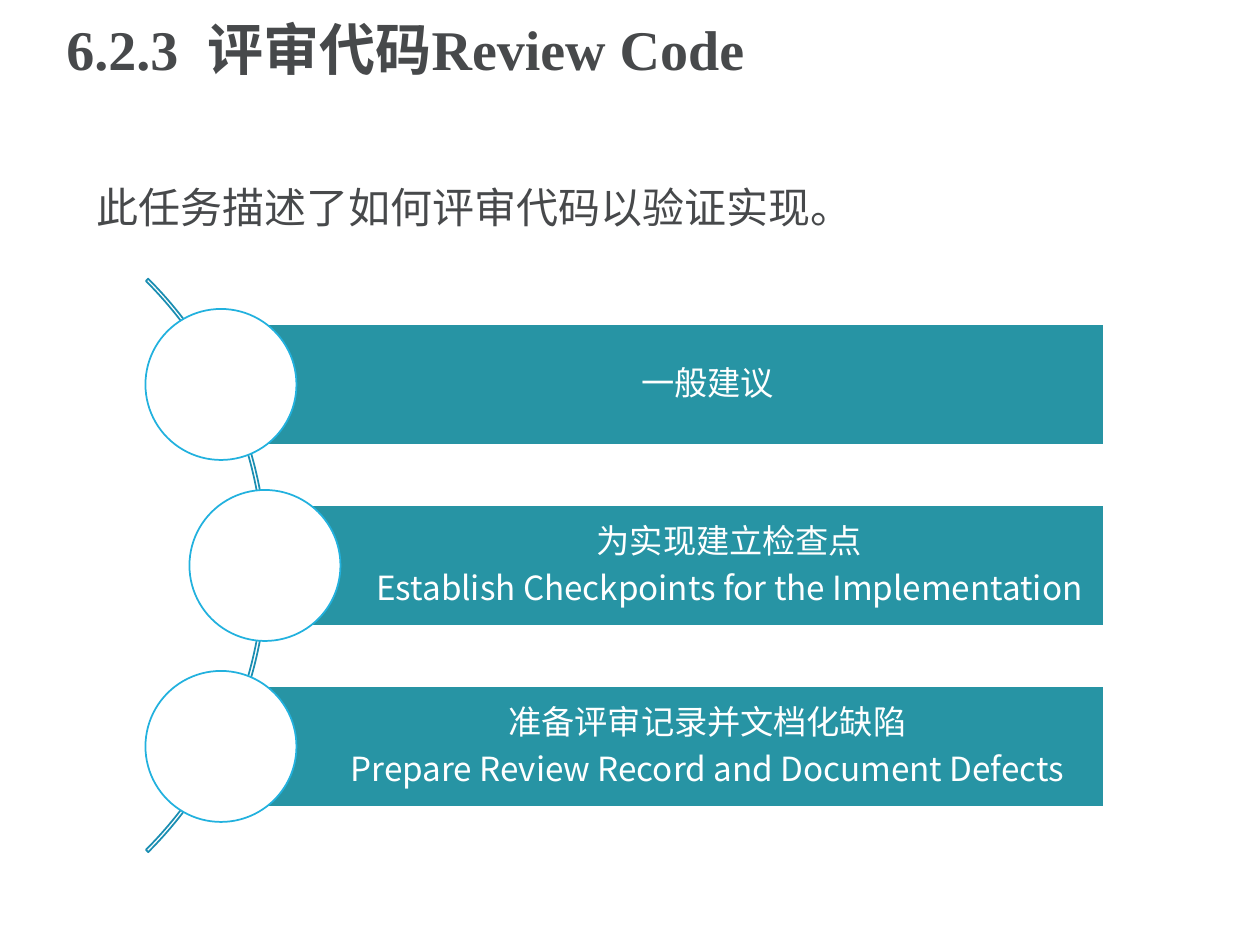
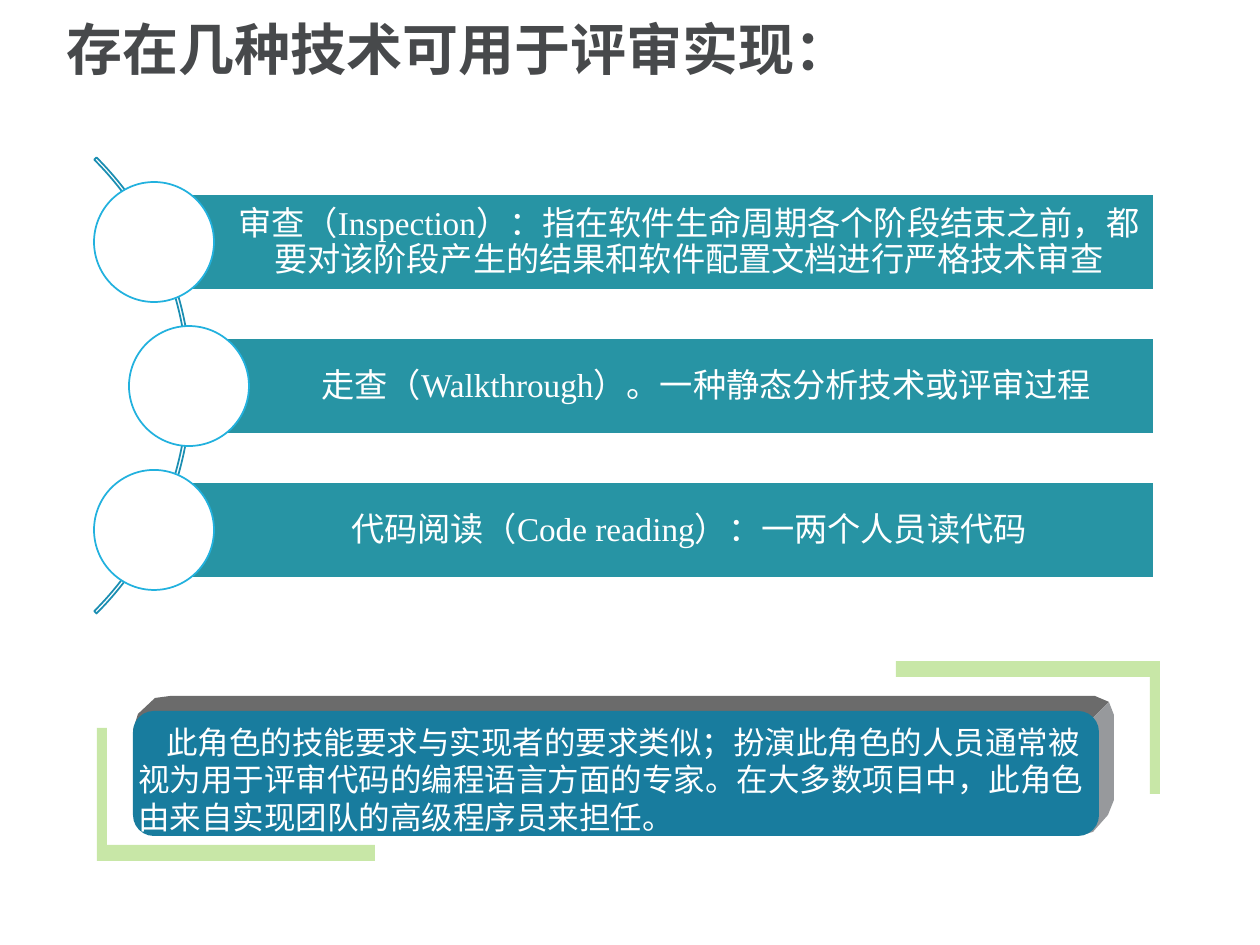
from lxml import etree
from pptx import Presentation
from pptx.dml.color import RGBColor
from pptx.enum import shapes, text
from pptx.oxml.ns import qn
from pptx.util import Pt

PX = 914400 // 126
SERIF, SANS = "Times New Roman", "Noto Sans CJK SC"
COLORS = {
    "ink": "47494B", "white": "FFFFFF", "bar": "2794A4", "arc": "1B8EB2",
    "ring": "22B1DE", "panel": "187C9E", "panel_top": "6B6B6B",
    "panel_side": "97999C", "bracket": "92D050",
}

# Content: each bar is (font, lines)
REVIEW = {
    "title": "6.2.3\t评审代码Review Code",
    "intro": "此任务描述了如何评审代码以验证实现。",
    "bars": [
        (SERIF, ["一般建议"]),
        (SANS, ["为实现建立检查点",
                "Establish Checkpoints for the Implementation"]),
        (SANS, ["准备评审记录并文档化缺陷",
                "Prepare Review Record and Document Defects"]),
    ],
    "layout": {"arc": (-544, 160, 811), "thickness": 0.004, "lefts": (221, 265, 221),
               "right": 1104, "top": 324, "pitch": 181, "height": 121,
               "circle": 151, "inset": 96},
}
TECHNIQUES = {
    "title": "存在几种技术可用于评审实现：",
    "bars": [
        (SERIF, ["审查（Inspection）：指在软件生命周期各个阶段结束之前，"
                 "都要对该阶段产生的结果和软件配置文档进行严格技术审查"]),
        (SERIF, ["走查（Walkthrough）。一种静态分析技术或评审过程"]),
        (SERIF, ["代码阅读（Code reading）：一两个人员读代码"]),
    ],
    "layout": {"arc": (-454, 63, 645), "thickness": 0.005, "lefts": (154, 189, 154),
               "right": 1154, "top": 194, "pitch": 144, "height": 96,
               "circle": 120, "inset": 76},
    "role": "此角色的技能要求与实现者的要求类似；扮演此角色的人员通常被视为用于"
            "评审代码的编程语言方面的专家。在大多数项目中，此角色由来自实现团队的"
            "高级程序员来担任。",
}

# Role panel: depth faces, and brackets as (corner x, corner y, reach, direction)
PANEL_FACES = [
    ("panel_top", [(133, 730), (138, 714), (155, 698), (170, 696), (1095, 696),
                   (1109, 702), (1094, 717), (1080, 725)]),
    ("panel_side", [(1109, 702), (1114, 715), (1114, 800), (1108, 815),
                    (1093, 832), (1078, 836), (1080, 725), (1094, 717)]),
]
BRACKETS = [(97, 861, 278, 1), (1160, 661, 264, -1)]


def rgb(name):
    return RGBColor.from_string(COLORS[name])


def paint(shape, fill=None, line=None):
    shape.shadow.inherit = False
    if fill:
        shape.fill.solid()
        shape.fill.fore_color.rgb = rgb(fill)
    else:
        shape.fill.background()
    if line:
        shape.line.color.rgb = rgb(line)
        shape.line.width = Pt(1)
    else:
        shape.line.fill.background()
    return shape


def add_preset(page, kind, area, fill=None, line=None):
    shape = page.shapes.add_shape(kind, *(round(v * PX) for v in area))
    return paint(shape, fill, line)


def add_outline(page, points, fill):
    builder = page.shapes.build_freeform(*points[0], scale=PX)
    builder.add_line_segments(points[1:])
    return paint(builder.convert_to_shape(), fill)


def write(box, lines, size, color, font, spacing, align=text.PP_ALIGN.LEFT,
          after=0, indent=0, tab=0):
    frame = box.text_frame
    frame.word_wrap = True
    frame.text = "\n".join(lines)
    for para in frame.paragraphs:
        para.alignment, para.line_spacing = align, spacing
        para.space_after = Pt(after)
        props = para._p.get_or_add_pPr()
        if indent:
            props.set("indent", str(indent * PX))
        if tab:
            tabs = etree.SubElement(props, qn("a:tabLst"))
            etree.SubElement(tabs, qn("a:tab"), pos=str(tab * PX), algn="l")
        para.font.size, para.font.name = Pt(size), font
        para.font.color.rgb = rgb(color)
        etree.SubElement(props.find(qn("a:defRPr")), qn("a:ea"), typeface=SANS)
    return frame


def add_text(page, area, *args, **options):
    box = page.shapes.add_textbox(*(v * PX for v in area))
    return write(box, *args, **options)


def add_page(deck, content):
    page = deck.slides.add_slide(deck.slide_layouts[6])
    frame = add_text(page, (54, 8, 1140, 88), [content["title"]], 32, "ink",
                     SERIF, 0.9, tab=141)
    frame.vertical_anchor = text.MSO_ANCHOR.MIDDLE
    frame.paragraphs[0].font.bold = True
    add_bar_list(page, content["bars"], content["layout"])
    return page


def add_bar_list(page, bars, layout):
    # Arc behind the circles
    left, top, side = layout["arc"]
    arc = add_preset(page, shapes.MSO_SHAPE.BLOCK_ARC, (left, top, side, side), line="arc")
    for index, value in enumerate((189, 27, layout["thickness"])):
        arc.adjustments[index] = value

    # Each circle is centred on the left edge of its bar
    height, circle = layout["height"], layout["circle"]
    for row, ((font, lines), left) in enumerate(zip(bars, layout["lefts"])):
        top = layout["top"] + row * layout["pitch"]
        bar = add_preset(page, shapes.MSO_SHAPE.RECTANGLE,
                         (left, top, layout["right"] - left, height), "bar", "white")
        frame = write(bar, lines, 19, "white", font, Pt(20.6),
                      text.PP_ALIGN.CENTER, after=6.6)
        frame.vertical_anchor = text.MSO_ANCHOR.MIDDLE
        frame.margin_left = layout["inset"] * PX
        frame.margin_right = frame.margin_top = frame.margin_bottom = 6 * PX
        add_preset(page, shapes.MSO_SHAPE.OVAL,
                   (left - circle / 2, top + (height - circle) / 2, circle, circle),
                   "white", "ring")


def add_bracket(page, x, y, reach, direction):
    rise, bar, post = 133 * direction, 16 * direction, 10 * direction
    end = x + reach * direction
    points = [(x, y), (end, y), (end, y - bar), (x + post, y - bar),
              (x + post, y - rise), (x, y - rise), (x, y)]
    shape = add_outline(page, points, "bracket")
    color = shape._element.spPr.find(f"{qn('a:solidFill')}/{qn('a:srgbClr')}")
    etree.SubElement(color, qn("a:alpha"), val="50000")


def add_role_panel(page, role):
    for bracket in BRACKETS:
        add_bracket(page, *bracket)
    for fill, points in PANEL_FACES:
        add_outline(page, points + points[:1], fill)
    add_preset(page, shapes.MSO_SHAPE.ROUNDED_RECTANGLE, (133, 711, 966, 125), "panel")
    add_text(page, (126, 717, 973, 127), [role], 18, "white", SANS, Pt(21.4), indent=28)


def main():
    deck = Presentation()
    deck.slide_width, deck.slide_height = 1260 * PX, 945 * PX

    review = add_page(deck, REVIEW)
    add_text(review, (84, 185, 1145, 57), [REVIEW["intro"]], 24, "ink", SANS, 0.8)

    techniques = add_page(deck, TECHNIQUES)
    add_role_panel(techniques, TECHNIQUES["role"])

    deck.save("out.pptx")


if __name__ == "__main__":
    main()
